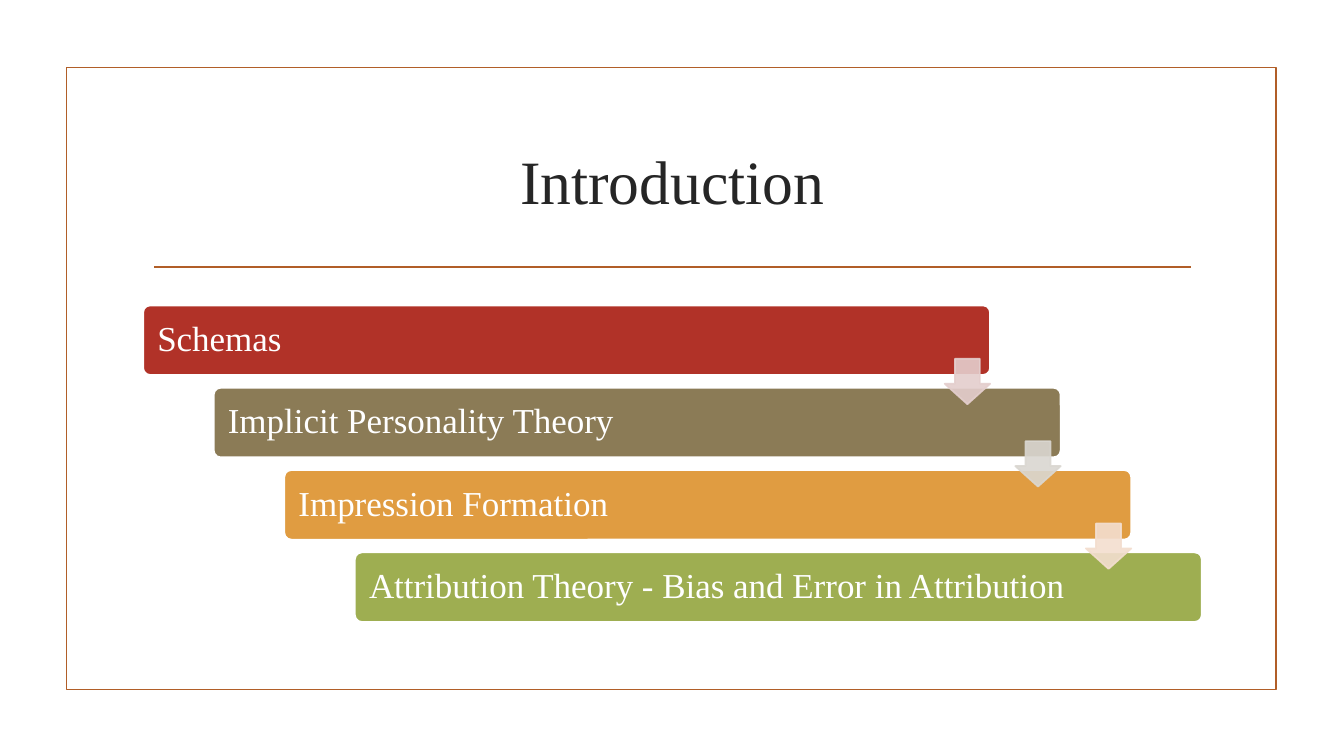
from dataclasses import dataclass

from lxml.etree import SubElement
from pptx import Presentation
from pptx.dml.color import RGBColor
from pptx.enum.shapes import MSO_CONNECTOR as Connector, MSO_SHAPE as Shape
from pptx.enum.text import MSO_ANCHOR as Anchor, PP_ALIGN as Align
from pptx.oxml.ns import qn
from pptx.util import Inches, Pt


@dataclass(frozen=True)
class Theme:
    """Colours, font and sizes used on the slide."""
    font: str = "Times New Roman"
    accent: str = "B15E28"
    ink: str = "262626"
    white: str = "FFFFFF"
    title_size: float = 44
    step_size: float = 25
    line_width: float = 1.25


THEME = Theme()
STEPS = [
    ("Schemas", "B13228", "E4CECD"),
    ("Implicit Personality Theory", "8B7B56", "DAD7D1"),
    ("Impression Formation", "E09C41", "F3DECF"),
    ("Attribution Theory - Bias and Error in Attribution", "9EAE51", None),
]


def set_line(line, color):
    """Give an outline or connector the theme width and a colour."""
    line.color.rgb = RGBColor.from_string(color)
    line.width = Pt(THEME.line_width)


def set_font(para, size, color):
    """Set the theme font, a size and a colour on a paragraph."""
    para.font.name = THEME.font
    para.font.size = Pt(size)
    para.font.color.rgb = RGBColor.from_string(color)


def add_box(page, kind, left, top, width, height, fill, line):
    """Add a flat preset shape, unfilled when fill is None."""
    box = page.shapes.add_shape(
        kind, Inches(left), Inches(top), Inches(width), Inches(height))
    box.shadow.inherit = False
    if fill:
        box.fill.solid()
        box.fill.fore_color.rgb = RGBColor.from_string(fill)
    else:
        box.fill.background()
    set_line(box.line, line)
    return box


def add_frame(page, left, top, width, height):
    """Draw the border and the rule under the title."""
    add_box(page, Shape.RECTANGLE, left, top, width, height, None, THEME.accent)
    rule_y = Inches(top + 1.98)
    rule = page.shapes.add_connector(
        Connector.STRAIGHT, Inches(left + 0.87), rule_y,
        Inches(left + width - 0.85), rule_y)
    set_line(rule.line, THEME.accent)
    SubElement(rule._element.spPr, qn("a:effectLst"))


def add_title(page, text, left, top, width, height):
    """Place and format the title placeholder."""
    title = page.shapes.title
    title.left, title.top = Inches(left), Inches(top)
    title.width, title.height = Inches(width), Inches(height)
    title.text_frame.text = text
    title.text_frame.vertical_anchor = Anchor.MIDDLE
    para = title.text_frame.paragraphs[0]
    para.alignment = Align.CENTER
    set_font(para, THEME.title_size, THEME.ink)


def add_step(page, text, color, left, top, width, height):
    """Add one labelled bar of the staircase."""
    bar = add_box(page, Shape.ROUNDED_RECTANGLE, left, top, width, height,
                  color, THEME.white)
    bar.adjustments[0] = 0.1
    frame = bar.text_frame
    frame.word_wrap = True
    frame.vertical_anchor = Anchor.MIDDLE
    frame.margin_left = frame.margin_right = Inches(0.12)
    frame.text = text
    para = frame.paragraphs[0]
    para.alignment = Align.LEFT
    para.line_spacing = 0.9
    set_font(para, THEME.step_size, THEME.white)


def add_arrow(page, color, left, top, size):
    """Add a slightly transparent down arrow."""
    arrow = add_box(page, Shape.DOWN_ARROW, left, top, size, size, color, color)
    arrow.adjustments[0], arrow.adjustments[1] = 0.55, 0.45
    for tint in arrow._element.spPr.iter(qn("a:srgbClr")):
        SubElement(tint, qn("a:alpha"), val="90000")


def add_staircase(page, steps, left, top, width, height):
    """Lay the bars out as a staircase, with an arrow from each to the next."""
    bar_width, bar_height, arrow_size = 0.8 * width, 0.69, 0.45
    gaps = len(steps) - 1
    shift, drop = (width - bar_width) / gaps, (height - bar_height) / gaps
    for index, (text, color, _) in enumerate(steps):
        add_step(page, text, color, left + index * shift, top + index * drop,
                 bar_width, bar_height)
    for index, (_, _, tint) in enumerate(steps[:-1]):
        add_arrow(page, tint, left + index * shift + bar_width - arrow_size,
                  top + index * drop + 0.53, arrow_size)


def main():
    """Build and save the deck."""
    deck = Presentation()
    deck.slide_width, deck.slide_height = Inches(13.33), Inches(7.5)
    page = deck.slides.add_slide(deck.slide_layouts[5])
    add_frame(page, 0.66, 0.67, 12, 6.17)
    add_title(page, "Introduction", 1.42, 1.07, 10.5, 1.43)
    add_staircase(page, STEPS, 1.42, 3.03, 10.5, 3.14)
    deck.save("out.pptx")


if __name__ == "__main__":
    main()
